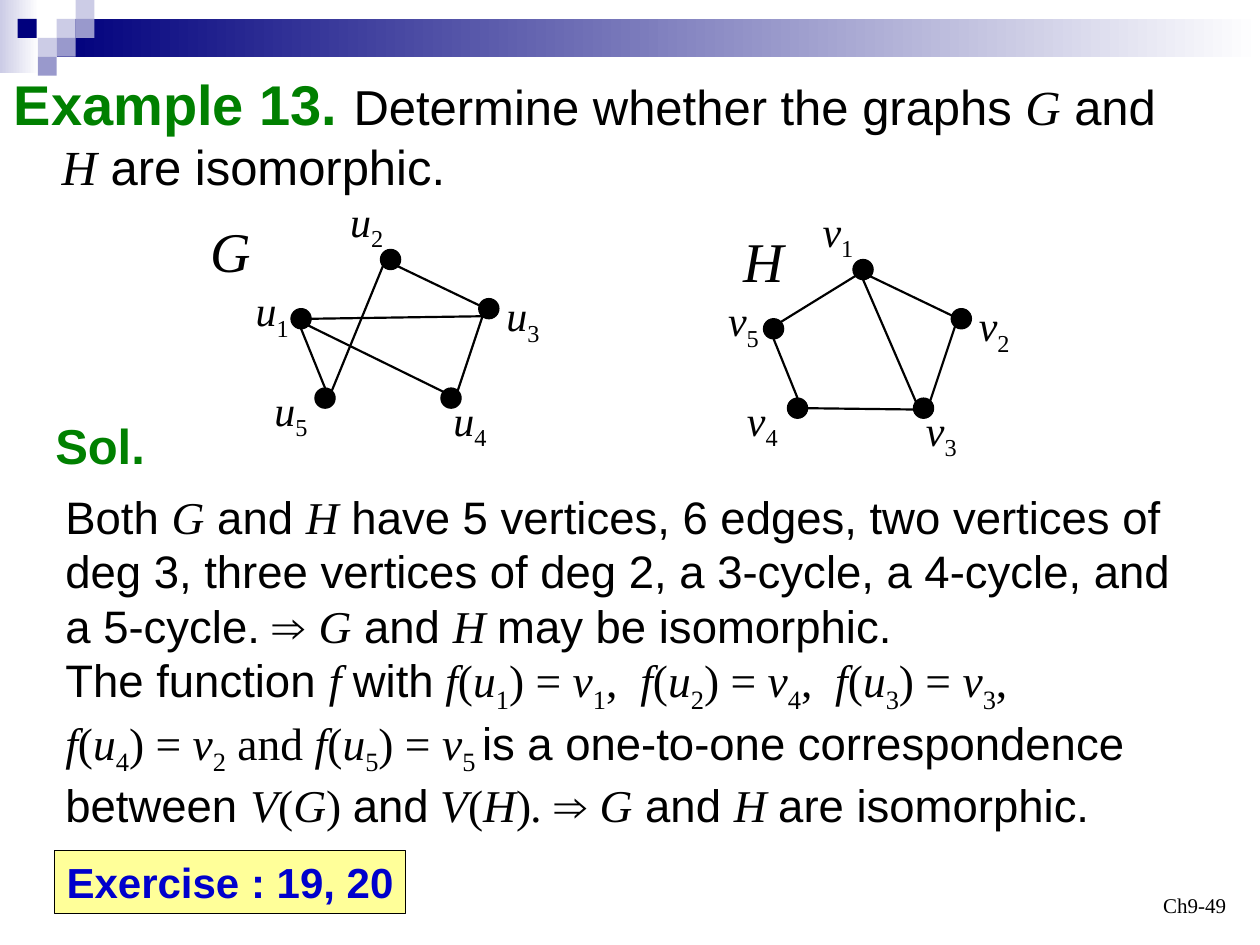
import pptx
import pptx.dml.color
import pptx.enum.shapes
import pptx.enum.text
import pptx.util
import pptx.oxml.ns
import lxml.etree

Inches = pptx.util.Inches
Pt = pptx.util.Pt
RGBColor = pptx.dml.color.RGBColor
Shapes = pptx.enum.shapes.MSO_SHAPE
Align = pptx.enum.text.PP_ALIGN
Anchor = pptx.enum.text.MSO_ANCHOR
AutoSize = pptx.enum.text.MSO_AUTO_SIZE

BLACK = RGBColor(0x00, 0x00, 0x00)
WHITE = RGBColor(0xFF, 0xFF, 0xFF)
GREEN = RGBColor(0x00, 0x80, 0x00)
BLUE = RGBColor(0x00, 0x00, 0xCC)
YELLOW = RGBColor(0xFF, 0xFF, 0x99)
NAVY = RGBColor(0x00, 0x00, 0x7D)
LILAC = RGBColor(0xCC, 0xCC, 0xE6)
VIOLET = RGBColor(0x99, 0x99, 0xCC)

SANS = "Arial"
SERIF = "Times New Roman"
ITALIC, UPRIGHT, SUBSCRIPT = "*", "~", "_"
MARKS = (ITALIC, UPRIGHT, SUBSCRIPT)

DOT = 0.16
TILE = 0.15
TILES = [
    (0.45, 0.15, LILAC), (0.6, 0, LILAC), (0.6, 0.15, VIOLET), (0.3, 0.3, LILAC),
    (0.14, 0.15, NAVY), (0.45, 0.3, VIOLET), (0.3, 0.45, VIOLET),
]

VERTICES = [(3.02, 1.98), (3.8, 2.37), (3.5, 3.08), (2.5, 3.08), (2.31, 2.45)]
LABELS = [(2.68, 1.5), (3.92, 2.25), (3.5, 3.08), (2.08, 3), (1.93, 2.21)]
SHARED_EDGES = [(3.9, 2.47, 3.15, 2.11), (3.63, 3.11, 3.83, 2.51), (2.58, 3.08, 2.39, 2.61)]
G_EDGES = [(3.04, 2.11, 2.63, 3.11), (3.83, 2.51, 2.47, 2.53), (3.52, 3.11, 2.44, 2.58)]
H_EDGES = [(3.04, 2.11, 2.44, 2.48), (3.5, 3.17, 2.66, 3.16), (3.52, 3.11, 3.1, 2.14)]


def add_block(page, shape_type, left, top, width, height, color, line=None):
    block = page.shapes.add_shape(
        shape_type, Inches(left), Inches(top), Inches(width), Inches(height))
    block.shadow.inherit = False
    block.fill.solid()
    block.fill.fore_color.rgb = color
    if line is None:
        block.line.fill.background()
    else:
        block.line.color.rgb = line
        block.line.width = Pt(0.75)
    return block


def add_fade(page, left, top, width, height, color):
    band = add_block(page, Shapes.RECTANGLE, left, top, width, height, color)
    band.fill.gradient()
    band.fill.gradient_angle = 0
    for stop, position, shade in zip(band.fill.gradient_stops, (0, 1), (color, WHITE)):
        stop.position = position
        stop.color.rgb = shade


def add_edge(page, x1, y1, x2, y2):
    edge = page.shapes.add_connector(
        pptx.enum.shapes.MSO_CONNECTOR.STRAIGHT,
        Inches(x1), Inches(y1), Inches(x2), Inches(y2))
    edge.line.color.rgb = BLACK
    edge.line.width = Pt(1.25)
    properties = edge._element.spPr
    lxml.etree.SubElement(properties, pptx.oxml.ns.qn("a:effectLst"))


def split_markup(markup):
    mark, piece = None, ""
    for char in markup:
        if char in MARKS:
            if piece:
                yield piece, mark
            mark, piece = (None if char == mark else char), ""
        else:
            piece += char
    if piece:
        yield piece, mark


def write(para, markup, size, color=BLACK, bold=False):
    for piece, mark in split_markup(markup):
        for number, line in enumerate(piece.split("\n")):
            if number:
                para.add_line_break()
            if not line:
                continue
            span = para.add_run()
            span.text = line
            span.font.size = Pt(size)
            span.font.name = SERIF if mark else SANS
            span.font.color.rgb = color
            span.font.bold = bold
            span.font.italic = mark == ITALIC
            if mark == SUBSCRIPT:
                span.font._element.set("baseline", "-25000")


def add_text(page, left, top, width, height, markup, size, color=BLACK, bold=False, wrap=False):
    box = page.shapes.add_textbox(Inches(left), Inches(top), Inches(width), Inches(height))
    box.text_frame.word_wrap = wrap
    write(box.text_frame.paragraphs[0], markup, size, color, bold)
    return box


def set_title(page):
    title = page.shapes.title
    title.left, title.top = Inches(0.01), Inches(0.5)
    title.width, title.height = Inches(10.12), Inches(1.1)
    frame = title.text_frame
    frame.word_wrap = False
    frame.auto_size = AutoSize.NONE
    frame.vertical_anchor = Anchor.TOP
    para = frame.paragraphs[0]
    para.alignment = Align.LEFT
    para.space_before = Pt(7)
    properties = para._p.get_or_add_pPr()
    properties.set("marL", str(Inches(0.38)))
    properties.set("indent", str(-Inches(0.38)))
    write(para, "Example 13. ", 32, GREEN, True)
    write(para, "Determine whether the graphs *G* and \n*H* are isomorphic.", 28)


def add_banner(page):
    add_fade(page, 0, 0, 0.31, 0.58, LILAC)
    add_fade(page, 0.45, 0.15, 9.55, 0.3, NAVY)
    for left, top, color in TILES:
        add_block(page, Shapes.RECTANGLE, left, top, TILE, TILE, color)


def add_graph(page, letter, order, edges, dx=0, dy=0):
    for x1, y1, x2, y2 in SHARED_EDGES + edges:
        add_edge(page, x1 + dx, y1 + dy, x2 + dx, y2 + dy)
    for (x, y), (label_x, label_y), number in zip(VERTICES, LABELS, order):
        add_block(page, Shapes.OVAL, x + dx, y + dy, DOT, DOT, BLACK, BLACK)
        add_text(page, label_x + dx, label_y + dy, 0.5, 0.56,
                 f"*{letter}*_{number}_", 24, wrap=True)


def maps_to(u, v):
    return f"*f*~(~*u*_{u}_~) = ~*v*_{v}_"


def add_solution(page):
    add_text(page, 0.34, 3.25, 1.02, 0.57, "Sol.", 28, GREEN, True)
    box = add_text(
        page, 0.42, 3.83, 9.08, 2.82,
        "Both *G* and *H* have 5 vertices, 6 edges, two vertices of deg 3, "
        "three vertices of deg 2, a 3-cycle, a 4-cycle, and a 5-cycle. "
        "⇒ *G* and *H *may be isomorphic.", 26, wrap=True)
    write(
        box.text_frame.add_paragraph(),
        "The function *f *with* *" + maps_to(1, 1) + "~,  ~" + maps_to(2, 4)
        + "~,  ~" + maps_to(3, 3) + "~, \n~" + maps_to(4, 2) + "~ and ~"
        + maps_to(5, 5) + "_ _is a one-to-one correspondence between "
        "*V*~(~*G*~)~* *and* V*~(~*H*~)~*. *⇒ *G* and *H *are isomorphic.", 26)


def add_exercise(page):
    box = add_block(page, Shapes.RECTANGLE, 0.43, 6.75, 2.79, 0.5, YELLOW, BLACK)
    box.text_frame.word_wrap = False
    para = box.text_frame.paragraphs[0]
    para.alignment = Align.LEFT
    write(para, "Exercise : 19, 20", 24, BLUE, True)


def add_page_number(page):
    box = add_text(page, 7.5, 6.83, 2.33, 0.5, "~Ch9-49~", 12, wrap=True)
    box.text_frame.vertical_anchor = Anchor.BOTTOM
    box.text_frame.paragraphs[0].alignment = Align.RIGHT


def main():
    deck = pptx.Presentation()
    deck.slide_width, deck.slide_height = Inches(10), Inches(7.5)
    page = deck.slides.add_slide(deck.slide_layouts[5])
    add_banner(page)
    set_title(page)
    add_graph(page, "u", (2, 3, 4, 5, 1), G_EDGES)
    add_text(page, 1.57, 1.67, 0.52, 0.64, "*G*", 32)
    add_graph(page, "v", (1, 2, 3, 4, 5), H_EDGES, 3.75, 0.08)
    add_text(page, 5.8, 1.75, 0.52, 0.64, "*H*", 32)
    add_solution(page)
    add_exercise(page)
    add_page_number(page)
    deck.save("out.pptx")


if __name__ == "__main__":
    main()
